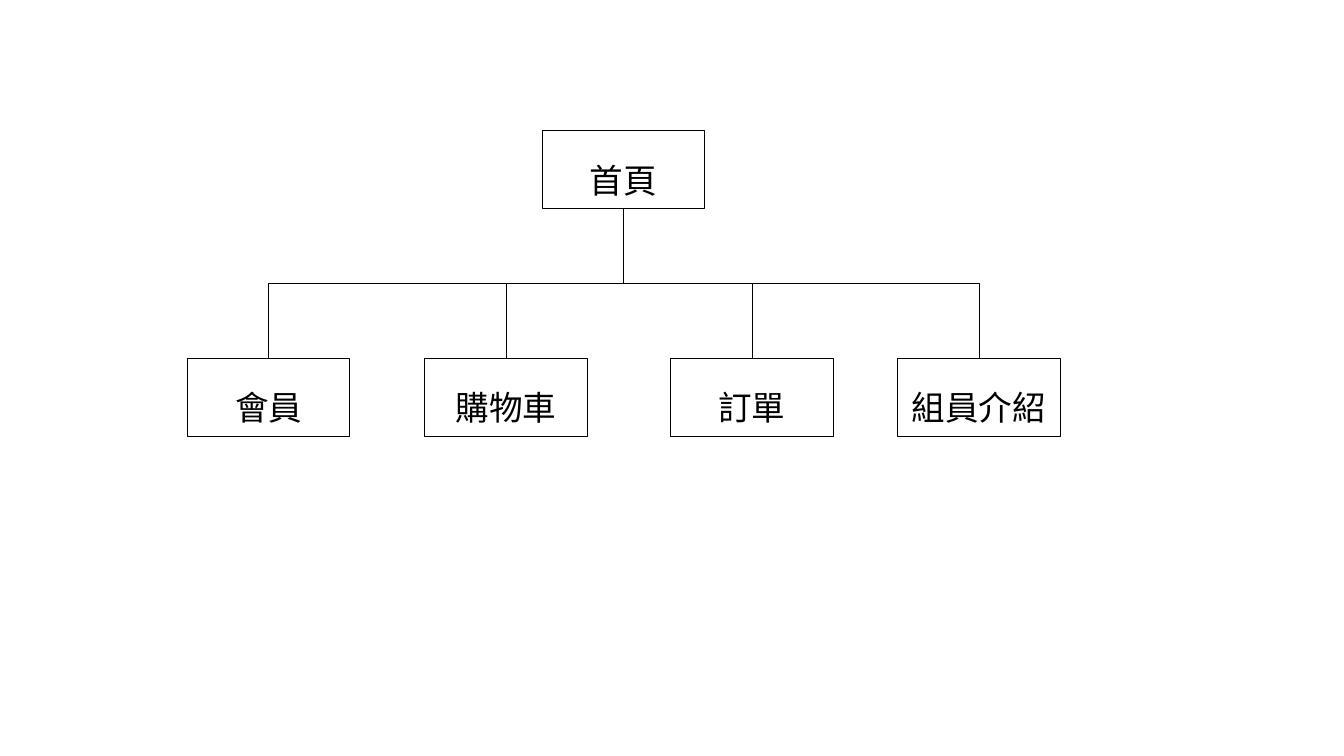
from lxml import etree
from pptx import Presentation
from pptx import util as u
from pptx.dml.color import RGBColor
from pptx.enum import shapes, text
from pptx.oxml import ns

BLACK = RGBColor(0, 0, 0)
BOX_WIDTH, BOX_HEIGHT = u.Cm(4.1), u.Cm(1.96)
HOME_LEFT, HOME_TOP = u.Cm(13.66), u.Cm(3.3)
PAGE_TOP = u.Cm(9.03)
PAGES = [("會員", 4.72), ("購物車", 10.7), ("訂單", 16.9), ("組員介紹", 22.62)]


def format_box(shape, label):
    shape.fill.background()
    shape.line.color.rgb = BLACK
    shape.line.width = u.Pt(0.75)
    frame = shape.text_frame
    frame.text = label
    frame.word_wrap = True
    frame.auto_size = text.MSO_AUTO_SIZE.NONE
    frame.vertical_anchor = text.MSO_ANCHOR.MIDDLE
    paragraph = frame.paragraphs[0]
    paragraph.alignment = text.PP_ALIGN.CENTER
    paragraph.line_spacing = 1.5
    paragraph.space_before = u.Pt(10)
    font = paragraph.runs[0].font
    font.name = "Calibri"
    font.size = u.Pt(24)
    font.color.rgb = BLACK


def add_line(kind, *ends):
    connector = slide.shapes.add_connector(kind, *(int(end) for end in ends))
    connector.line.color.rgb = BLACK
    connector.line.width = u.Pt(0.5)
    etree.SubElement(connector._element.spPr, ns.qn("a:effectLst"))
    return connector


presentation = Presentation()
presentation.slide_width, presentation.slide_height = u.Cm(33.87), u.Cm(19.05)
slide = presentation.slides.add_slide(presentation.slide_layouts[0])
title = slide.shapes.title._element
title.getparent().remove(title)

home = slide.placeholders[1]
home.left, home.top, home.width, home.height = HOME_LEFT, HOME_TOP, BOX_WIDTH, BOX_HEIGHT
format_box(home, "首頁")

home_center = HOME_LEFT + BOX_WIDTH / 2
home_bottom = HOME_TOP + BOX_HEIGHT
drop = PAGE_TOP - home_bottom
branch_top = home_bottom + drop / 2

for index, (label, left) in enumerate(PAGES):
    page = slide.shapes.add_shape(
        shapes.MSO_SHAPE.RECTANGLE, u.Cm(left), PAGE_TOP, BOX_WIDTH, BOX_HEIGHT)
    page.shadow.inherit = False
    format_box(page, label)

    page_center = u.Cm(left) + BOX_WIDTH / 2
    if index in (0, len(PAGES) - 1):
        side = 1 if page_center > home_center else -1
        middle = (home_center + page_center) / 2
        span = abs(page_center - home_center)
        elbow = add_line(
            shapes.MSO_CONNECTOR.ELBOW,
            middle + side * drop / 2, branch_top - span / 2,
            middle - side * drop / 2, branch_top + span / 2)
        elbow._element.spPr.find(ns.qn("a:xfrm")).set("rot", str((180 + 90 * side) * 60000))
    else:
        add_line(shapes.MSO_CONNECTOR.STRAIGHT, page_center, branch_top, page_center, PAGE_TOP)

presentation.save("out.pptx")
